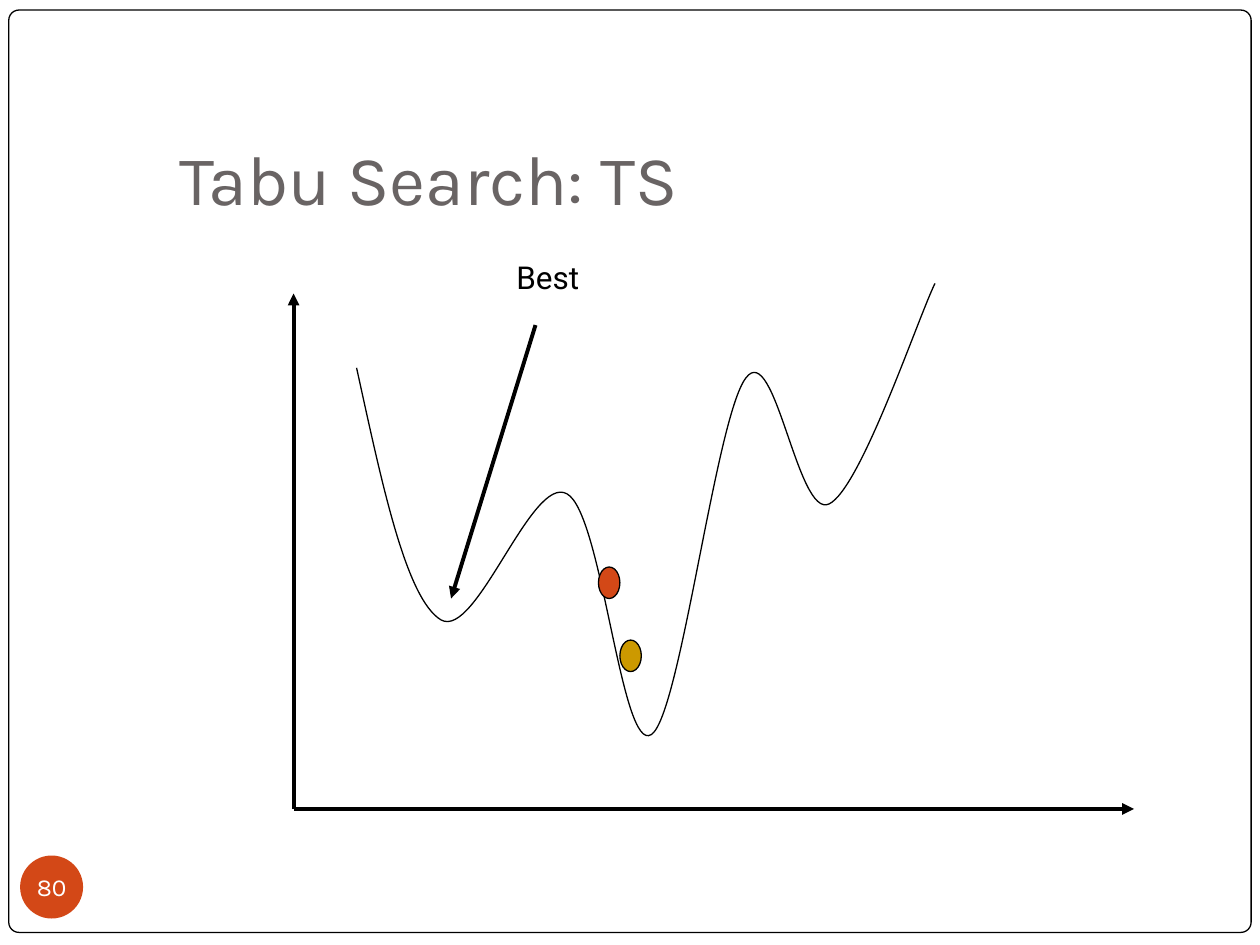
from lxml.etree import SubElement
from pptx import Presentation
from pptx.dml.color import RGBColor
from pptx.enum.shapes import MSO_CONNECTOR, MSO_SHAPE
from pptx.enum.text import MSO_ANCHOR, PP_ALIGN
from pptx.oxml.ns import qn
from pptx.util import Inches, Pt

BLACK = RGBColor(0x00, 0x00, 0x00)
WHITE = RGBColor(0xFF, 0xFF, 0xFF)
GRAY = RGBColor(0x69, 0x64, 0x64)
ORANGE = RGBColor(0xD3, 0x48, 0x17)
GOLD = RGBColor(0xCC, 0x99, 0x00)

# Content: places in inches
TITLE = "Tabu Search: TS"
PAGE_NUMBER = "80"
BEST_LABEL = "Best"
ORIGIN = (2.33, 6.42)
ARROWS = [
    (ORIGIN, (2.33, 2.33)),        # cost axis
    (ORIGIN, (9, 6.42)),           # solution axis
    ((4.25, 2.58), (3.58, 4.75)),  # pointer to the best solution
]
CURVE_START = (2.83, 2.92)
CURVE = [  # two control points and an end point per segment
    ((3.03, 3.83), (3.22, 4.75), (3.5, 4.92)),
    ((3.78, 5.08), (4.22, 3.76), (4.5, 3.92)),
    ((4.78, 4.07), (4.93, 5.99), (5.17, 5.83)),
    ((5.4, 5.68), (5.68, 3.31), (5.92, 3)),
    ((6.15, 2.69), (6.33, 4.12), (6.58, 4)),
    ((6.83, 3.88), (7.28, 2.54), (7.42, 2.25)),
]
SOLUTION_SIZE = (0.17, 0.25)
SOLUTIONS = [((4.92, 5.08), GOLD), ((4.75, 4.5), ORANGE)]


def inches(values):
    return [Inches(value) for value in values]


def write(shape, text, font="Karla", size=18, color=BLACK, align=PP_ALIGN.LEFT,
          anchor=MSO_ANCHOR.TOP, margins=(0.1, 0.05, 0.1, 0.05)):
    frame = shape.text_frame
    frame.word_wrap = True
    frame.vertical_anchor = anchor
    (frame.margin_left, frame.margin_top,
     frame.margin_right, frame.margin_bottom) = inches(margins)
    paragraph = frame.paragraphs[0]
    paragraph.alignment = align
    run = paragraph.add_run()
    run.text = text
    run.font.name = font
    run.font.size = Pt(size)
    run.font.color.rgb = color


def add_outlined(slide, kind, box, fill, line=BLACK):
    shape = slide.shapes.add_shape(kind, *inches(box))
    shape.shadow.inherit = False
    shape.fill.solid()
    shape.fill.fore_color.rgb = fill
    if line is None:
        shape.line.fill.background()
    else:
        shape.line.color.rgb = line
        shape.line.width = Pt(0.75)
    return shape


def add_arrow(slide, start, end):
    arrow = slide.shapes.add_connector(MSO_CONNECTOR.STRAIGHT, *inches(start + end))
    arrow.line.color.rgb = BLACK
    arrow.line.width = Pt(2.25)
    properties = arrow._element.spPr
    SubElement(properties.find(qn("a:ln")), qn("a:tailEnd"), type="triangle")
    SubElement(properties, qn("a:effectLst"))


def add_curve(slide, start, segments):
    builder = slide.shapes.build_freeform(*inches(start))
    builder.add_line_segments(
        [inches(point) for segment in segments for point in segment], close=False)
    curve = builder.convert_to_shape()
    # Join every three straight steps into one Bezier segment
    outline = next(curve._element.iter(qn("a:path")))
    steps = outline.findall(qn("a:lnTo"))
    for first in range(0, len(steps), 3):
        bezier = SubElement(outline, qn("a:cubicBezTo"))
        for step in steps[first:first + 3]:
            bezier.append(step[0])
            outline.remove(step)
    curve.shadow.inherit = False
    curve.fill.background()
    curve.line.color.rgb = BLACK
    curve.line.width = Pt(0.75)


def main():
    deck = Presentation()
    deck.slide_width, deck.slide_height = inches((10, 7.5))
    slide = deck.slides.add_slide(deck.slide_layouts[6])

    # Frame, title and page number
    border = add_outlined(slide, MSO_SHAPE.ROUNDED_RECTANGLE,
                          (0.07, 0.08, 9.86, 7.32), WHITE)
    border.adjustments[0] = 0.011
    title = slide.shapes.add_textbox(*inches((1.33, 0.94, 8.52, 0.9)))
    write(title, TITLE, size=40, color=GRAY, anchor=MSO_ANCHOR.BOTTOM,
          margins=(0.1, 0.05, 0.1, 0.1))
    badge = add_outlined(slide, MSO_SHAPE.OVAL, (0.16, 6.79, 0.5, 0.5), ORANGE, line=None)
    write(badge, PAGE_NUMBER, size=14, color=WHITE, align=PP_ALIGN.CENTER,
          anchor=MSO_ANCHOR.MIDDLE, margins=(0, 0, 0, 0))

    # Search landscape
    add_curve(slide, CURVE_START, CURVE)
    for start, end in ARROWS:
        add_arrow(slide, start, end)
    for place, color in SOLUTIONS:
        add_outlined(slide, MSO_SHAPE.OVAL, place + SOLUTION_SIZE, color)
    best = slide.shapes.add_textbox(*inches((4, 2, 1.17, 0.4)))
    write(best, BEST_LABEL, font="Roboto")

    deck.save("out.pptx")


if __name__ == "__main__":
    main()
